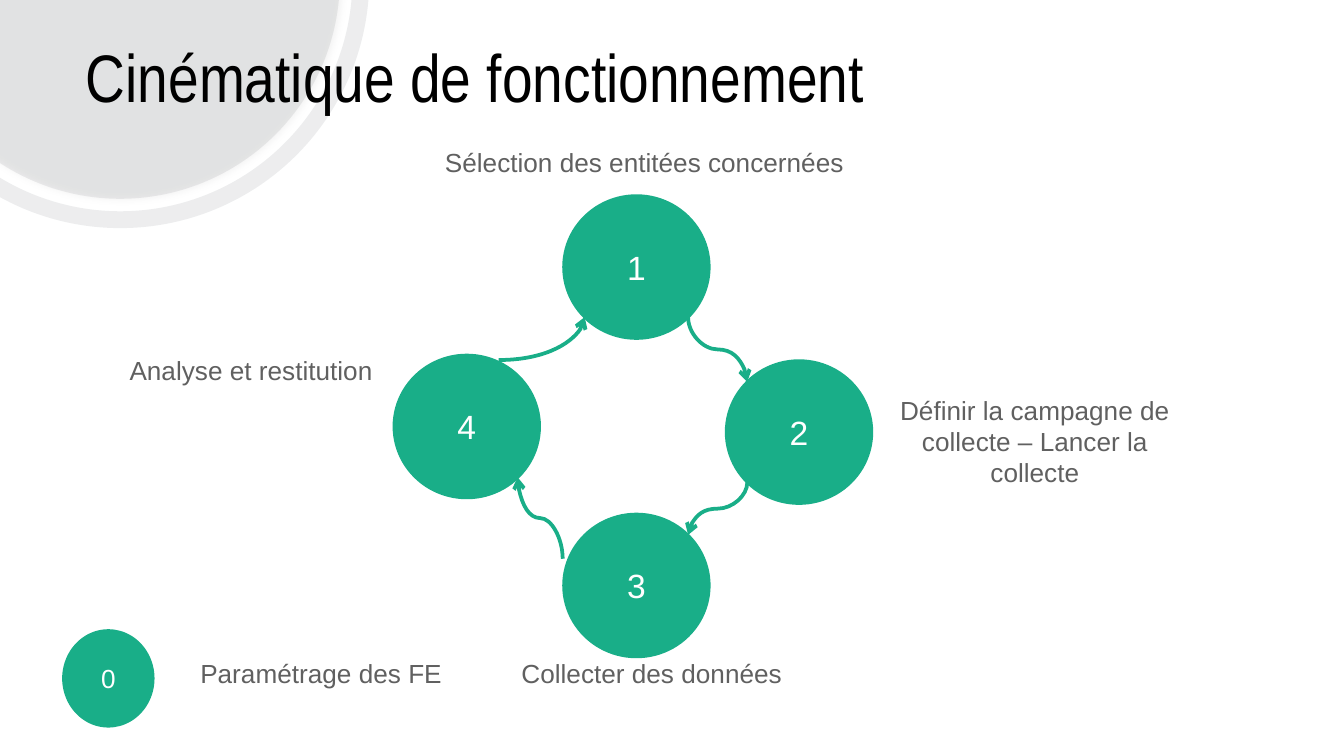
"""Build the slide that shows the four-step working cycle."""
from dataclasses import dataclass

from lxml import etree
from pptx import Presentation
from pptx.dml.color import RGBColor as Rgb
from pptx.enum import shapes, text
from pptx.oxml import ns
from pptx.util import Pt


@dataclass(frozen=True)
class Theme:
    green: Rgb = Rgb(0x19, 0xAE, 0x88)
    slate: Rgb = Rgb(0x53, 0x58, 0x5F)
    gray: Rgb = Rgb(0x60, 0x60, 0x60)
    white: Rgb = Rgb(0xFF, 0xFF, 0xFF)
    black: Rgb = Rgb(0, 0, 0)
    font: str = "Arial"
    narrow: str = "Arial Narrow"
    title: int = 36
    step: int = 18
    label: int = 14


theme = Theme()


def write(shape, words, size=theme.label, color=theme.gray, font=theme.font,
          align=text.PP_ALIGN.CENTER, anchor=text.MSO_ANCHOR.TOP, inset=0):
    frame = shape.text_frame
    frame.word_wrap = True
    frame.vertical_anchor = anchor
    frame.margin_left = frame.margin_right = Pt(inset)
    frame.margin_top = frame.margin_bottom = Pt(inset)
    para = frame.paragraphs[0]
    para.alignment = align
    run = para.add_run()
    run.text = words
    run.font.size, run.font.name = Pt(size), font
    run.font.color.rgb = color


def add(parent, tag, **attrs):
    return etree.SubElement(parent, ns.qn(tag), attrs)


deck = Presentation()
deck.slide_width, deck.slide_height = Pt(720), Pt(405)
slide = deck.slides.add_slide(deck.slide_layouts[6])
items = slide.shapes
oval = shapes.MSO_SHAPE.OVAL

mid_x, mid_y = 64.4, -11.2
disc, ring = [
    items.add_shape(oval, Pt(mid_x - size / 2), Pt(mid_y - size / 2), Pt(size), Pt(size))
    for size in (235.4, 257.8)
]
for shape in (disc, ring):
    shape.shadow.inherit = False
disc.fill.solid()
disc.fill.fore_color.rgb = theme.slate
disc.line.fill.background()
ring.fill.background()
ring.line.color.rgb = theme.slate
ring.line.width = Pt(9)
for shape in (disc, ring):
    for tint in shape._element.spPr.iter(ns.qn("a:srgbClr")):
        add(tint, "a:alpha", val="10000")
glow = add(disc._element.spPr.find(ns.qn("a:effectLst")), "a:outerShdw",
           blurRad=str(Pt(4)), dist=str(Pt(1)), dir="0", rotWithShape="0")
add(add(glow, "a:srgbClr", val=str(theme.black)), "a:alpha", val="50000")

steps = [
    ("1", 301.7, 104.6, 78.5, 77, theme.step),
    ("2", 388.8, 193, 78.5, 77, theme.step),
    ("3", 301.7, 275.2, 78.5, 77, theme.step),
    ("4", 210.8, 190, 78.5, 77, theme.step),
    ("0", 33.8, 337.6, 48.5, 51.7, theme.label),
]
for words, left, top, wide, high, size in steps:
    dot = items.add_shape(oval, Pt(left), Pt(top), Pt(wide), Pt(high))
    dot.shadow.inherit = False
    dot.fill.solid()
    dot.fill.fore_color.rgb = dot.line.color.rgb = theme.green
    dot.line.width = Pt(1)
    write(dot, words, size=size, color=theme.white,
          anchor=text.MSO_ANCHOR.MIDDLE, inset=4)

labels = [
    ("Sélection des entitées concernées", 234, 78.5, 222.5, 52.5),
    ("Définir la campagne de collecte – Lancer la collecte", 475.2, 211, 158.4, 59),
    ("Collecter des données", 259.2, 352, 180, 37.5),
    ("Analyse et restitution", 44.6, 190, 180, 37.5),
    ("Paramétrage des FE", 82.1, 352, 180, 37.5),
]
for words, *place in labels:
    write(items.add_textbox(*map(Pt, place)), words)

title = items.add_textbox(Pt(44.6), Pt(17.3), Pt(463.7), Pt(46.8))
write(title, "Cinématique de fonctionnement", size=theme.title, color=theme.black,
      font=theme.narrow, align=text.PP_ALIGN.LEFT,
      anchor=text.MSO_ANCHOR.MIDDLE, inset=1.4)

curves = [
    (384.5, 187.2, -34.6, 31.7, 270, "curvedConnector3"),
    (384.5, 272.5, 28.1, 31.7, 90, "curvedConnector3"),
    (289.4, 277.6, 43.6, -24.1, 270, "curvedConnector3"),
    (290.2, 181.4, 46.1, -23, 0, "curvedConnector2"),
]
for x, y, run, rise, turn, kind in curves:
    link = items.add_connector(
        shapes.MSO_CONNECTOR.CURVE, Pt(x - run / 2), Pt(y - rise / 2),
        Pt(x + run / 2), Pt(y + rise / 2))
    link.line.color.rgb = theme.green
    link.line.width = Pt(2)
    props = link._element.spPr
    props.find(ns.qn("a:xfrm")).set("rot", str(turn * 60000))
    props.find(ns.qn("a:prstGeom")).set("prst", kind)
    add(props.find(ns.qn("a:ln")), "a:tailEnd", type="arrow")
    add(props, "a:effectLst")

deck.save("out.pptx")
